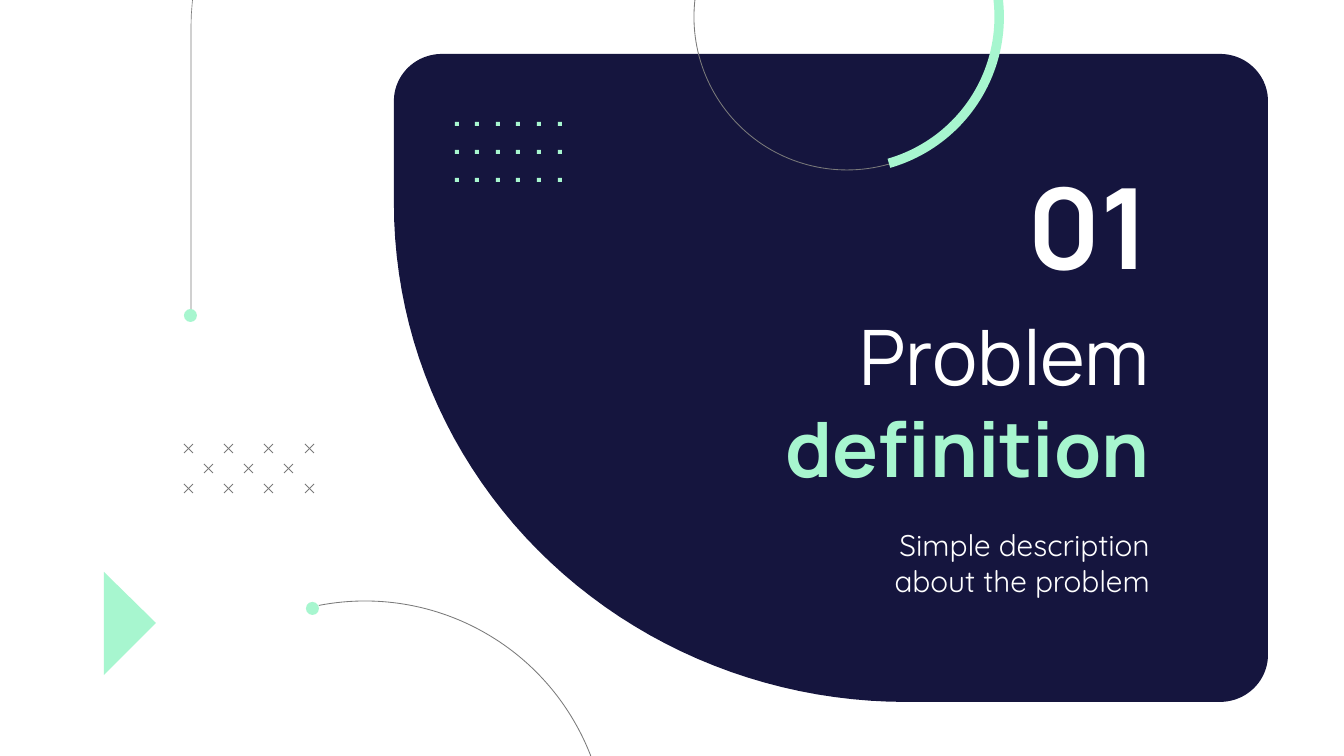
import math

from lxml import etree
from pptx import Presentation
from pptx import util as u
from pptx.dml.color import RGBColor
from pptx.enum import shapes, text
from pptx.oxml.ns import qn

EMU_PER_PX = 9144000 / 1344
NAVY = "15153E"
MINT = "A7F6CF"
GRAY = "7A7A7A"
WHITE = "FFFFFF"
THIN = 0.44


def px(length):
    return u.Emu(round(length * EMU_PER_PX))


def color(hex_value):
    return RGBColor.from_string(hex_value)


def paint(shape, fill=None, line=None, width=THIN):
    shape.shadow.inherit = False
    if fill:
        shape.fill.solid()
        shape.fill.fore_color.rgb = color(fill)
    else:
        shape.fill.background()
    if line:
        shape.line.color.rgb = color(line)
        shape.line.width = u.Pt(width)
    else:
        shape.line.fill.background()


def add_preset(page, kind, left, top, width, height, **style):
    shape = page.shapes.add_shape(kind, px(left), px(top), px(width), px(height))
    paint(shape, **style)
    return shape


def add_arc(page, kind, center_x, center_y, radius, start, end, **style):
    arc = add_preset(page, kind, center_x - radius, center_y - radius,
                     2 * radius, 2 * radius, **style)
    arc.adjustments[0] = start * 0.6
    arc.adjustments[1] = end * 0.6
    return arc


def add_outline(page, points, close=True, **style):
    corners = [(px(x), px(y)) for x, y in points]
    builder = page.shapes.build_freeform(*corners[0])
    builder.add_line_segments(corners[1:], close=close)
    paint(builder.convert_to_shape(), **style)


def quarter(center_x, center_y, radius_x, radius_y, start):
    steps = 45
    angles = [math.radians(start + 90 * step / steps) for step in range(steps + 1)]
    return [(center_x + radius_x * math.cos(angle), center_y + radius_y * math.sin(angle))
            for angle in angles]


def add_line(page, x1, y1, x2, y2):
    line = page.shapes.add_connector(shapes.MSO_CONNECTOR.STRAIGHT,
                                     px(x1), px(y1), px(x2), px(y2))
    line.line.color.rgb = color(GRAY)
    line.line.width = u.Pt(THIN)
    etree.SubElement(line._element.spPr, qn("a:effectLst"))


def add_text(page, left, top, width, height, spans, font, size,
             anchor=text.MSO_ANCHOR.TOP, bottom=0, after=0):
    box = page.shapes.add_textbox(px(left), px(top), px(width), px(height))
    frame = box.text_frame
    frame.word_wrap = True
    frame.vertical_anchor = anchor
    frame.margin_left = frame.margin_right = frame.margin_top = u.Inches(0.1)
    frame.margin_bottom = u.Inches(bottom)
    para = frame.paragraphs[0]
    para.alignment = text.PP_ALIGN.RIGHT
    para.space_after = u.Pt(after)
    for words, hex_value, bold in spans:
        span = para.add_run()
        span.text = words
        span.font.name = font
        span.font.size = u.Pt(size)
        span.font.bold = bold
        span.font.color.rgb = color(hex_value)


def add_panel(page):
    outline = (quarter(1220, 101, 48, 47, 270) + quarter(1220, 655, 48, 47, 0)
               + quarter(906, 204, 512, 498, 90) + quarter(442, 101, 48, 47, 180))
    add_outline(page, outline, fill=NAVY)


def add_crosses(page):
    size = 9
    for row in range(3):
        for column in range(row % 2, 7, 2):
            left, top = 184 + 121 * column // 6, 444 + 20 * row
            add_line(page, left, top, left + size, top + size)
            add_line(page, left, top + size, left + size, top)


def add_dots(page):
    for row in range(3):
        for column in range(6):
            add_preset(page, shapes.MSO_SHAPE.RECTANGLE,
                       455 + 103 * column // 5, 122 + 28 * row, 4, 4, fill=MINT)


def add_rings(page):
    arc, band = shapes.MSO_SHAPE.ARC, shapes.MSO_SHAPE.BLOCK_ARC
    add_arc(page, arc, 847, 17, 153, 74, 344, line=GRAY)
    ribbon = add_arc(page, band, 847, 17, 157, 344, 74, fill=MINT)
    ribbon.adjustments[2] = 0.03
    add_arc(page, arc, 365, 843, 242, 259, 170, line=GRAY)


def add_wire(page):
    points = [(191, 316)] + quarter(753, 28, 562, 372, 180) + [(930, -344)]
    add_outline(page, points, close=False, line=GRAY, width=0.35)


def main():
    deck = Presentation()
    deck.slide_width, deck.slide_height = px(1344), px(756)
    page = deck.slides.add_slide(deck.slide_layouts[6])

    add_panel(page)
    add_outline(page, [(104, 572), (156, 623), (104, 675)], fill=MINT)
    add_text(page, 633, 296, 530, 212,
             [("Problem", WHITE, False), (" definition", MINT, True)],
             "Manrope", 41, bottom=0.1)
    add_text(page, 993, 148, 170, 144, [("01", WHITE, True)],
             "Manrope", 60, anchor=text.MSO_ANCHOR.BOTTOM)
    add_text(page, 803, 513, 360, 104,
             [("Simple description about the problem", WHITE, False)],
             "Quicksand", 16, after=16)
    add_crosses(page)
    add_dots(page)
    add_wire(page)
    add_rings(page)
    for left, top in [(184, 309), (306, 602)]:
        add_preset(page, shapes.MSO_SHAPE.OVAL, left, top, 13, 13, fill=MINT)

    deck.save("out.pptx")


if __name__ == "__main__":
    main()
